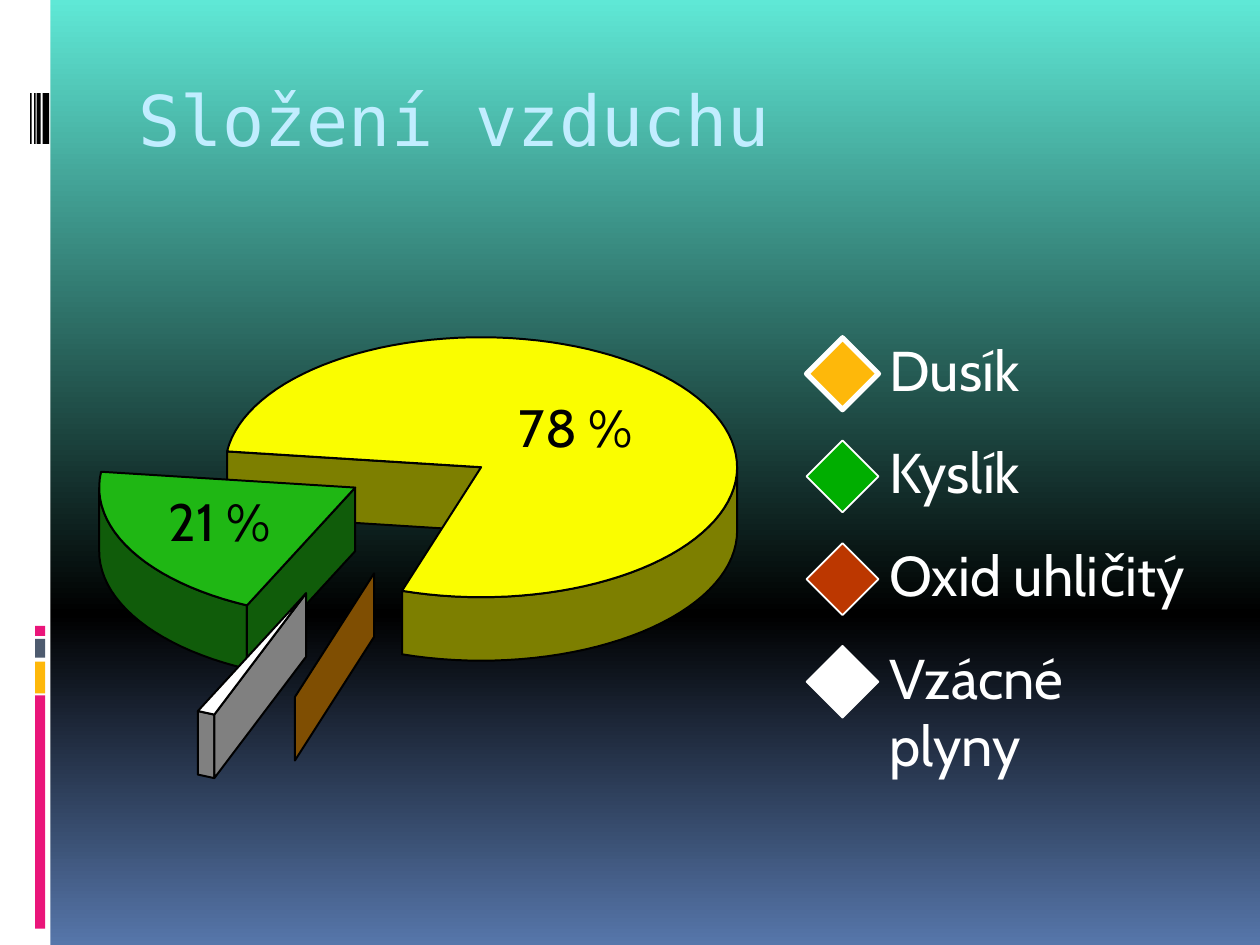
from copy import deepcopy
from math import cos, radians, sin
from pptx import Presentation
from pptx import util as u
from pptx.dml.color import RGBColor
from pptx.enum import shapes, text
from pptx.oxml.ns import qn

HEX = {
    "white": "FFFFFF", "black": "000000", "pink": "EA157A", "amber": "FEB80A",
    "slate": "4E5B6F", "title": "C1EDFF", "green": "00AE00", "rust": "BC3700",
    "aqua": "5FE8D6", "blue": "5676AA", "yellow": "FAFD00", "olive": "7D7F00",
    "leaf": "1FB714", "moss": "105C0A", "grey": "808080", "brown": "7F4E02",
}

# Content, lengths in cm
TITLE = "Složení vzduchu"
STOPS = [(0, "aqua"), (0.65, "black"), (1, "blue")]
BARS = [  # left, top, width, height, colour
    (0, 0, 1.02, 19.05, "white"),
    (0.71, 14.02, 0.2, 4.7, "pink"),
    (0.71, 13.34, 0.2, 0.64, "amber"),
    (0.71, 12.88, 0.2, 0.38, "slate"),
    (0.71, 12.62, 0.2, 0.2, "pink"),
] + [(x, 1.88, w, 1.02, "black")
     for x, w in [(0.86, 0.13), (0.74, 0.08), (0.69, 0.03), (0.61, 0.03)]]
SLICES = [  # tip x, tip y, start and end angle, top colour, side colour
    (9.7, 9.42, -173, 108, "yellow", "olive"),
    (7.16, 9.83, 115, 187, "leaf", "moss"),
    (6.17, 11.96, 111, 115, "white", "grey"),
    (7.54, 11.56, 108, 108, "brown", "brown"),
]
RX, RY, DEPTH = 5.16, 2.62, 1.28
LEGEND = [  # name, text width, colour, outline
    ("Dusík", 3.73, "amber", 3),
    ("Kyslík", 4.17, "green", 1),
    ("Oxid uhličitý", 7.92, "rust", 1),
    ("Vzácné plyny", 6.76, "white", 1),
]
LABELS = [("21 %", 3.15, 9.6), ("78 %", 10.21, 7.72)]


def rgb(name):
    return RGBColor.from_string(HEX[name])


def paint(shape, fill, line=None, width=1):
    shape.shadow.inherit = False
    shape.fill.solid()
    shape.fill.fore_color.rgb = rgb(fill)
    if line:
        shape.line.color.rgb = rgb(line)
        shape.line.width = u.Pt(width)
    else:
        shape.line.fill.background()


def write(shape, words, size, face, color, pad=0.13):
    frame = shape.text_frame
    look = {"word_wrap": True, "auto_size": text.MSO_AUTO_SIZE.NONE,
            "vertical_anchor": text.MSO_ANCHOR.TOP,
            "margin_left": u.Cm(0.25), "margin_right": u.Cm(0.25),
            "margin_top": u.Cm(pad), "margin_bottom": u.Cm(pad)}
    for key, val in look.items():
        setattr(frame, key, val)
    para = frame.paragraphs[0]
    para.alignment = text.PP_ALIGN.LEFT
    run = para.add_run()
    run.text = words
    for key, val in {"size": u.Pt(size), "name": face}.items():
        setattr(run.font, key, val)
    run.font.color.rgb = rgb(color)


def box(home, x, y, w, h):
    return home.add_textbox(u.Cm(x), u.Cm(y), u.Cm(w), u.Cm(h))


def arc(x, y, start, end):
    count = max(1, round((end - start) / 3))
    turns = [radians(start + (end - start) * i / count) for i in range(count + 1)]
    return [(x + RX * cos(t), y + RY * sin(t)) for t in turns]


def drop(points):
    """Closed band from a line down to the same line one depth lower."""
    return points + [(x, y + DEPTH) for x, y in reversed(points)]


def outline(home, points, fill):
    first, *rest = [(u.Cm(x), u.Cm(y)) for x, y in points]
    pen = home.build_freeform(*first)
    pen.add_line_segments(rest, close=True)
    paint(pen.convert_to_shape(), fill, "black", 1.12)


deck = Presentation()
deck.slide_width, deck.slide_height = u.Cm(25.4), u.Cm(19.05)
slide = deck.slides.add_slide(deck.slide_layouts[5])
items = slide.shapes

# Background gradient
back = slide.background.fill
back.gradient()
back.gradient_angle = 270
stops = slide.element.find(".//" + qn("a:gsLst"))
stops.append(deepcopy(stops[0]))
for stop, (place, color) in zip(back.gradient_stops, STOPS):
    stop.position = place
    stop.color.rgb = rgb(color)

# Side strip
for *spot, color in BARS:
    bar = items.add_shape(shapes.MSO_SHAPE.RECTANGLE, *map(u.Cm, spot))
    paint(bar, color)

# Title
head = items.title
head.left, head.top, head.width, head.height = map(u.Cm, (2.54, 1.42, 21.59, 2.54))
write(head, TITLE, 40, "DejaVu Sans Mono", "title")

# Pie slices: rim, cut wall, top
for x, y, start, end, top, side in SLICES:
    home = items.add_group_shape().shapes
    low, high = max(start, 0), min(end, 180)
    if low < high:
        outline(home, drop(arc(x, y, low, high)), side)
    outline(home, drop([(x, y), arc(x, y, start, start)[0]]), side)
    if start < end:
        outline(home, [(x, y)] + arc(x, y, start, end), top)

# Legend
for row, (name, width, color, edge) in enumerate(LEGEND):
    y = 6.63 + 2.07 * row
    home = items.add_group_shape().shapes
    write(box(home, 17.68, y, width, 1.6), name, 32, "Cabin", "white")
    mark = home.add_shape(shapes.MSO_SHAPE.DIAMOND, u.Cm(16.26), u.Cm(y + 0.18),
                          u.Cm(1.45), u.Cm(1.45))
    paint(mark, color, "white", edge)

# Shares
for share, x, y in LABELS:
    write(box(items, x, y, 15.67, 1.8), share, 30, "Cabin", "black", 0.25)

deck.save("out.pptx")
